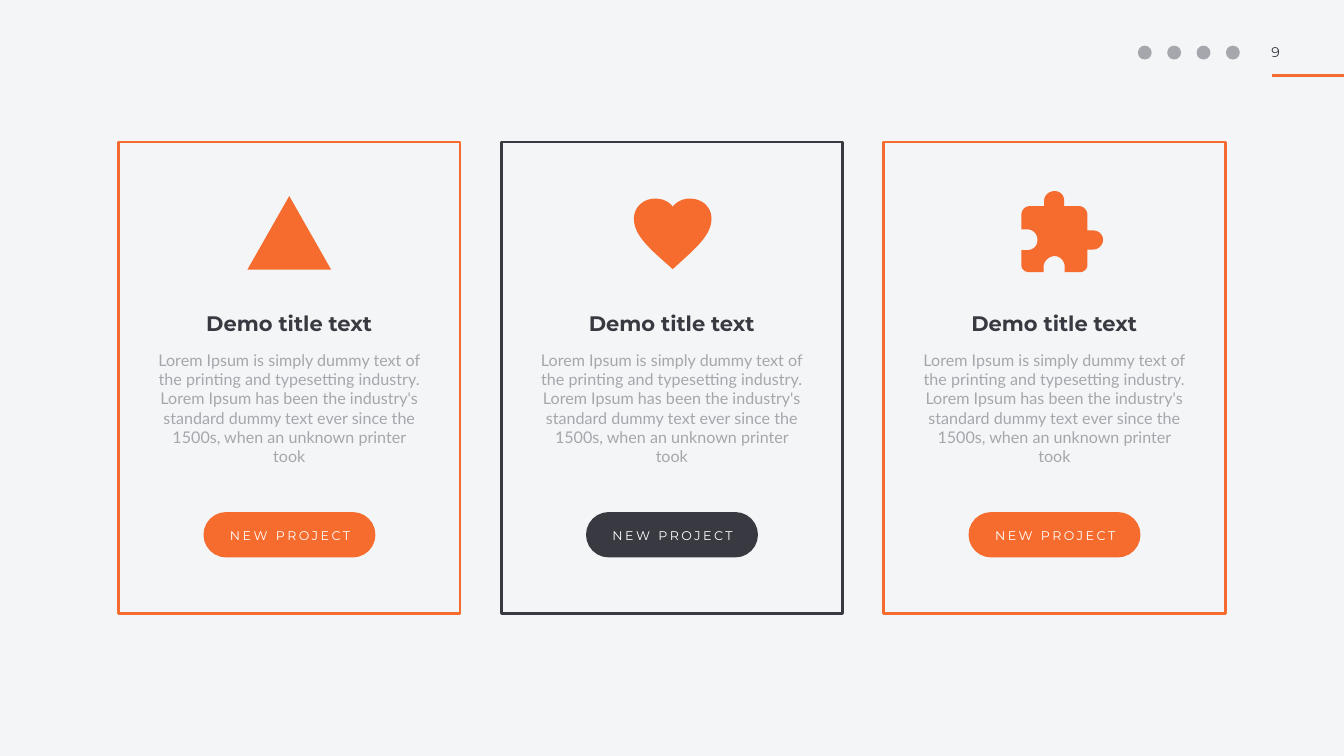
from pptx import Presentation
from pptx.dml.color import RGBColor
from pptx.enum.shapes import MSO_CONNECTOR, MSO_SHAPE
from pptx.enum.text import MSO_ANCHOR, PP_ALIGN
from pptx.oxml.ns import qn
from pptx.util import Cm, Pt
from lxml import etree

RECTANGLE = MSO_SHAPE.RECTANGLE
PILL = MSO_SHAPE.ROUNDED_RECTANGLE
OVAL = MSO_SHAPE.OVAL
TRIANGLE = MSO_SHAPE.ISOSCELES_TRIANGLE
STRAIGHT = MSO_CONNECTOR.STRAIGHT
CENTER, LEFT = PP_ALIGN.CENTER, PP_ALIGN.LEFT
TOP, MIDDLE = MSO_ANCHOR.TOP, MSO_ANCHOR.MIDDLE

COLORS = {
    "background": "F4F5F7",
    "orange": "F56C2E",
    "dark": "393941",
    "gray": "A6A7AC",
    "white": "FFFFFF",
}
RGB = {name: RGBColor.from_string(value) for name, value in COLORS.items()}

BODY = (
    "Lorem Ipsum is simply dummy text of the printing and typesetting industry. "
    "Lorem Ipsum has been the industry's standard dummy text ever since the 1500s, "
    "when an unknown printer took"
)

# Icon outlines: two numbers are a corner, six are a Bézier curve
ICON_UNIT = Cm(0.0254)
CURVE_STEPS = 12
HEART = [
    (77, 140), (66, 130), (26, 95, 0, 70, 0, 40), (0, 17, 19, 0, 42, 0),
    (56, 0, 69, 5, 77, 16), (86, 5, 98, 0, 111, 0),
    (136, 0, 154, 17, 154, 40), (154, 70, 127, 95, 88, 130),
]
PUZZLE = [
    (142, 78), (131, 78), (131, 47), (131, 38, 123, 30, 116, 30),
    (85, 30), (85, 20), (85, 8, 77, 0, 66, 0), (55, 0, 45, 8, 45, 20),
    (45, 30), (16, 30), (7, 30, 0, 38, 0, 47),
    (0, 76), (12, 76), (23, 76, 32, 85, 32, 97), (32, 109, 23, 117, 12, 117),
    (0, 117), (0, 147), (0, 155, 7, 161, 16, 161),
    (44, 161), (44, 150), (44, 139, 55, 129, 66, 129), (77, 129, 86, 139, 86, 150),
    (86, 161), (116, 161), (123, 161, 131, 155, 131, 147),
    (131, 116), (142, 116), (153, 116, 162, 107, 162, 97), (162, 86, 153, 78, 142, 78),
]

deck = Presentation()
deck.slide_width, deck.slide_height = Cm(67.74), Cm(38.1)
page = deck.slides.add_slide(deck.slide_layouts[6])
page.background.fill.solid()
page.background.fill.fore_color.rgb = RGB["background"]


def add_text(text, left, top, width, height, font, size, color,
             align=CENTER, anchor=MIDDLE, bold=False, tracking=0, line_spacing=None):
    box = page.shapes.add_textbox(Cm(left), Cm(top), Cm(width), Cm(height))
    frame = box.text_frame
    frame.word_wrap = True
    frame.vertical_anchor = anchor
    frame.margin_left = frame.margin_right = Cm(0.1)
    frame.margin_top = frame.margin_bottom = Cm(0.1)
    frame.text = text
    para = frame.paragraphs[0]
    para.alignment = align
    para.line_spacing = line_spacing
    span = para.runs[0]
    span.font.name, span.font.size, span.font.bold = font, Pt(size), bold
    span.font.color.rgb = RGB[color]
    if tracking:
        span.font._element.set("spc", str(round(tracking * 100)))


def style(shape, fill=None, line=None, line_width=0):
    shape.shadow.inherit = False
    if fill:
        shape.fill.solid()
        shape.fill.fore_color.rgb = RGB[fill]
    else:
        shape.fill.background()
    if line:
        shape.line.color.rgb = RGB[line]
        shape.line.width = Pt(line_width)
    else:
        shape.line.fill.background()


# Header: row of social marks, page number and rule
for index in range(4):
    mark = page.shapes.add_shape(OVAL, Cm(57.35 + 1.48 * index), Cm(2.3), Cm(0.7), Cm(0.7))
    style(mark, fill="gray")

add_text("9", 63.98, 2.11, 1.68, 1.07, "Montserrat", 20, "dark",
         align=LEFT, anchor=TOP, tracking=4)

rule = page.shapes.add_connector(STRAIGHT, Cm(64.11), Cm(3.81), Cm(67.74), Cm(3.81))
rule.line.color.rgb = RGB["orange"]
rule.line.width = Pt(4)
etree.SubElement(rule._element.spPr, qn("a:effectLst"))

# Three cards: accent colour, icon outline, icon offset from the card, icon top
cards = [
    ("orange", None, 6.48, 9.88),
    ("dark", HEART, 6.68, 10.01),
    ("orange", PUZZLE, 6.93, 9.63),
]
for index, (accent, outline, icon_offset, icon_top) in enumerate(cards):
    left = 5.99 + 19.28 * index

    # Frame
    frame_box = page.shapes.add_shape(RECTANGLE, Cm(left), Cm(7.16), Cm(17.2), Cm(23.75))
    style(frame_box, line=accent, line_width=4)

    # Icon
    icon_left = left + icon_offset
    if outline:
        points = []
        for segment in outline:
            if len(segment) == 2:
                points.append(segment)
                continue
            x0, y0 = points[-1]
            x1, y1, x2, y2, x3, y3 = segment
            for step in range(1, CURVE_STEPS + 1):
                t = step / CURVE_STEPS
                a, b, c, d = (1 - t) ** 3, 3 * t * (1 - t) ** 2, 3 * t * t * (1 - t), t ** 3
                points.append((a * x0 + b * x1 + c * x2 + d * x3,
                               a * y0 + b * y1 + c * y2 + d * y3))
        points = [(x * ICON_UNIT, y * ICON_UNIT) for x, y in points]
        builder = page.shapes.build_freeform(*points[0])
        builder.add_line_segments(points[1:], close=True)
        icon = builder.convert_to_shape(Cm(icon_left), Cm(icon_top))
    else:
        icon = page.shapes.add_shape(TRIANGLE, Cm(icon_left), Cm(icon_top), Cm(4.22), Cm(3.71))
    style(icon, fill="orange")

    # Title and description
    add_text("Demo title text", left + 3.53, 15.62, 10.11, 1.52, "Montserrat", 30, "dark",
             bold=True, line_spacing=0.8)
    add_text(BODY, left + 1.8, 17.55, 13.59, 6.17, "Lato", 23, "gray", anchor=TOP)

    # Button
    button = page.shapes.add_shape(PILL, Cm(left + 4.32), Cm(25.86), Cm(8.56), Cm(2.18))
    button.adjustments[0] = 0.5
    style(button, fill=accent, line=accent, line_width=3)
    add_text("NEW PROJECT", left + 5.23, 26.47, 6.81, 0.99, "Montserrat", 18, "white",
             tracking=3.6)

deck.save("out.pptx")
